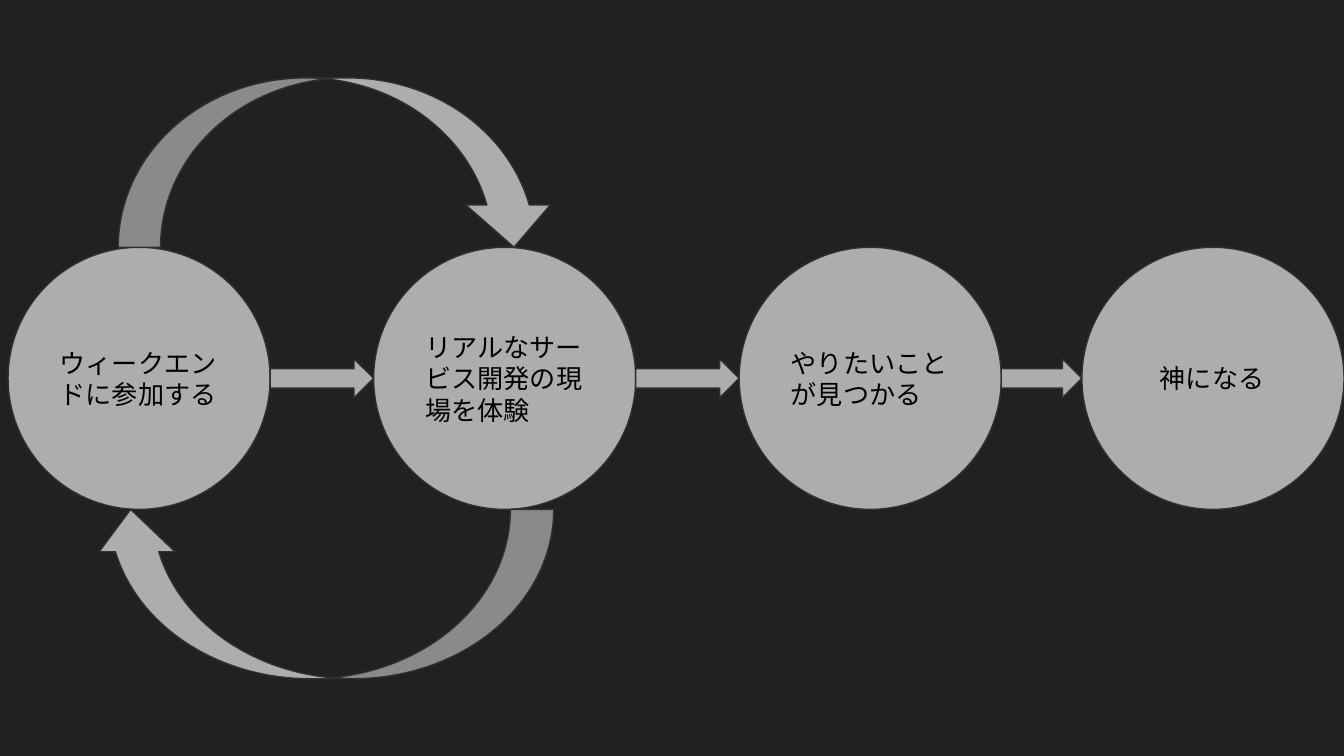
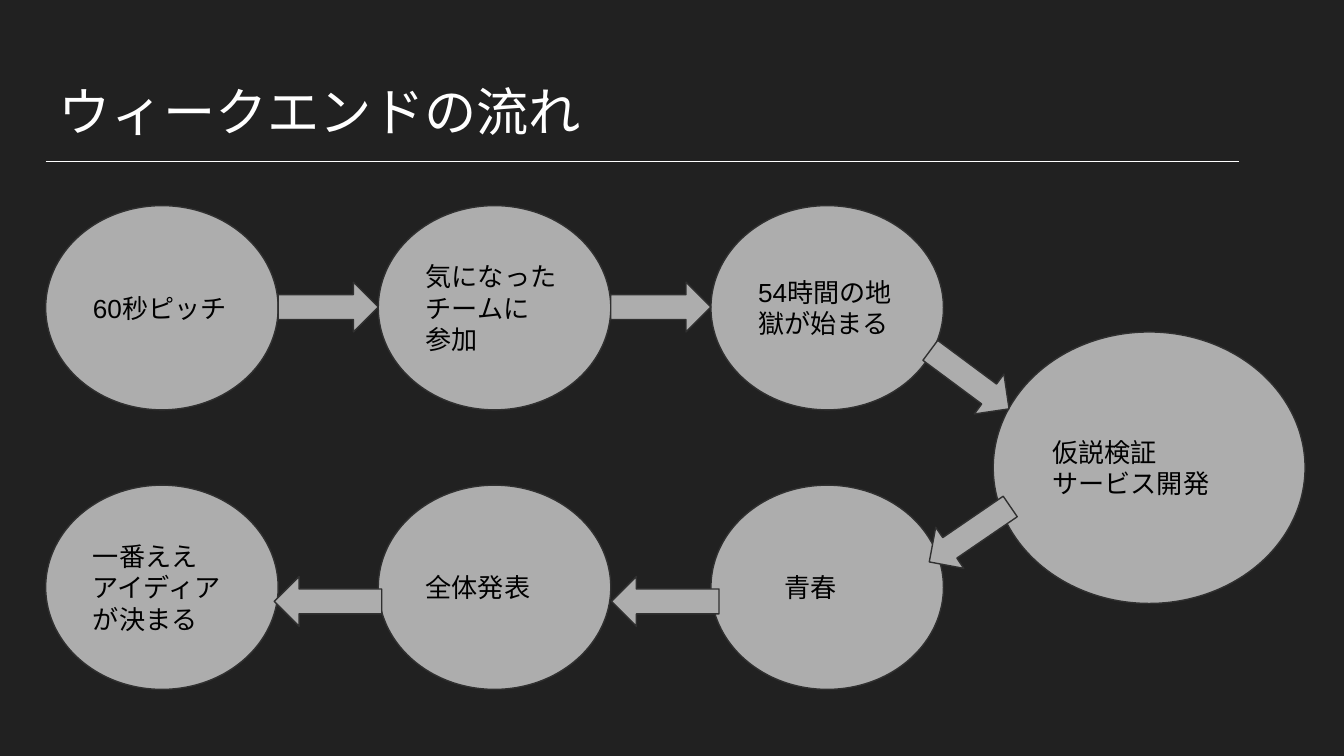
from pptx import Presentation
from pptx.dml.color import RGBColor
from pptx.enum.shapes import MSO_CONNECTOR, MSO_SHAPE
from pptx.enum.text import MSO_ANCHOR, PP_ALIGN
from pptx.oxml.ns import qn
from pptx.util import Inches, Pt
from lxml.etree import SubElement

# Shared look
FONT = "Arial"
BACKGROUND = "212121"
FILL = "ADADAD"
OUTLINE = "303030"
DARK_TEXT = "000000"
LIGHT = "FFFFFF"
MARGIN = 0.34
INSET = 0.1


def color(value):
    return RGBColor.from_string(value)


def add_page(deck):
    page = deck.slides.add_slide(deck.slide_layouts[6])
    page.background.fill.solid()
    page.background.fill.fore_color.rgb = color(BACKGROUND)
    return page


def write_text(shape, text, size=14, ink=DARK_TEXT, anchor=MSO_ANCHOR.MIDDLE):
    frame = shape.text_frame
    frame.word_wrap = True
    frame.vertical_anchor = anchor
    frame.margin_left = frame.margin_right = Inches(INSET)
    frame.margin_top = frame.margin_bottom = Inches(INSET)
    para = frame.paragraphs[0]
    para.alignment = PP_ALIGN.LEFT
    for number, line in enumerate(text.split("\n")):
        if number:
            para.add_line_break()
        span = para.add_run()
        span.text = line
        span.font.name = FONT
        span.font.size = Pt(size)
        span.font.color.rgb = color(ink)


def add_figure(page, kind, left, top, width, height, rotation=0, adjust=()):
    shape = page.shapes.add_shape(
        kind, Inches(left), Inches(top), Inches(width), Inches(height))
    shape.shadow.inherit = False
    shape.fill.solid()
    shape.fill.fore_color.rgb = color(FILL)
    shape.line.color.rgb = color(OUTLINE)
    shape.line.width = Pt(0.75)
    shape.rotation = rotation
    for index, value in enumerate(adjust):
        shape.adjustments[index] = value
    return shape


def add_step(page, text, left, top, width, height):
    write_text(add_figure(page, MSO_SHAPE.OVAL, left, top, width, height), text)


def add_arrow(page, left, top, width, height, rotation=0):
    add_figure(page, MSO_SHAPE.RIGHT_ARROW, left, top, width, height, rotation)


def add_title(page, text):
    box = page.shapes.add_textbox(
        Inches(MARGIN), Inches(0.49), Inches(9.32), Inches(0.63))
    write_text(box, text, size=28, ink=LIGHT, anchor=MSO_ANCHOR.TOP)
    rule = page.shapes.add_connector(
        MSO_CONNECTOR.STRAIGHT,
        Inches(MARGIN), Inches(1.2), Inches(9.22), Inches(1.2))
    rule.line.color.rgb = color(LIGHT)
    rule.line.width = Pt(0.75)
    SubElement(rule.element.spPr, qn("a:effectLst"))


def build_growth_page(deck):
    page = add_page(deck)
    size, top, arrow_height = 1.95, 1.84, 0.29
    steps = [
        (0.06, "ウィークエンドに参加する"),
        (2.78, "リアルなサービス開発の現場を体験"),
        (5.5, "やりたいことが見つかる"),
        (8.05, "\u3000神になる"),
    ]
    for left, text in steps:
        add_step(page, text, left, top, size, size)

    # Straight arrows fill the gaps between neighbours
    for (left, _), (next_left, _) in zip(steps, steps[1:]):
        start = left + size
        add_arrow(page, start, top + (size - arrow_height) / 2,
                  next_left - start, arrow_height)

    # Loop between the first two steps
    bend = 1.26
    add_figure(page, MSO_SHAPE.CURVED_DOWN_ARROW, 0.88, top - bend, 3.26, bend,
               adjust=(0.25, 0.5, 0.25))
    add_figure(page, MSO_SHAPE.CURVED_DOWN_ARROW, 0.69, top + size, 3.43, bend,
               rotation=180, adjust=(0.256, 0.448, 0.25))


def build_flow_page(deck):
    page = add_page(deck)
    add_title(page, "ウィークエンドの流れ")
    width, height, pitch = 1.73, 1.52, 2.475
    arrow_height = 0.37
    rows = [
        (1.53, ["60秒ピッチ", "気になったチームに\n参加", "54時間の地獄が始まる"]),
        (3.61, ["一番ええ\nアイディア\nが決まる", "全体発表", "\u3000青春"]),
    ]
    for top, texts in rows:
        for column, text in enumerate(texts):
            add_step(page, text, MARGIN + column * pitch, top, width, height)
    add_step(page, "仮説検証\nサービス開発", 7.39, 2.47, 2.32, 2.02)

    # Upper row runs right, lower row runs back left
    for column in range(2):
        add_arrow(page, MARGIN + width + column * pitch, 2.1,
                  pitch - width, arrow_height)
    for left in (2.04, 4.55):
        add_arrow(page, left, 4.29, 0.8, arrow_height, rotation=180)

    # Slanted arrows into and out of the large step
    for top, rotation in ((2.64, 36.6), (3.79, 145.6)):
        add_arrow(page, 6.85, top, 0.73, arrow_height, rotation)


def main():
    deck = Presentation()
    deck.slide_width = Inches(10)
    deck.slide_height = deck.slide_width * 9 // 16
    build_growth_page(deck)
    build_flow_page(deck)
    deck.save("out.pptx")


main()
